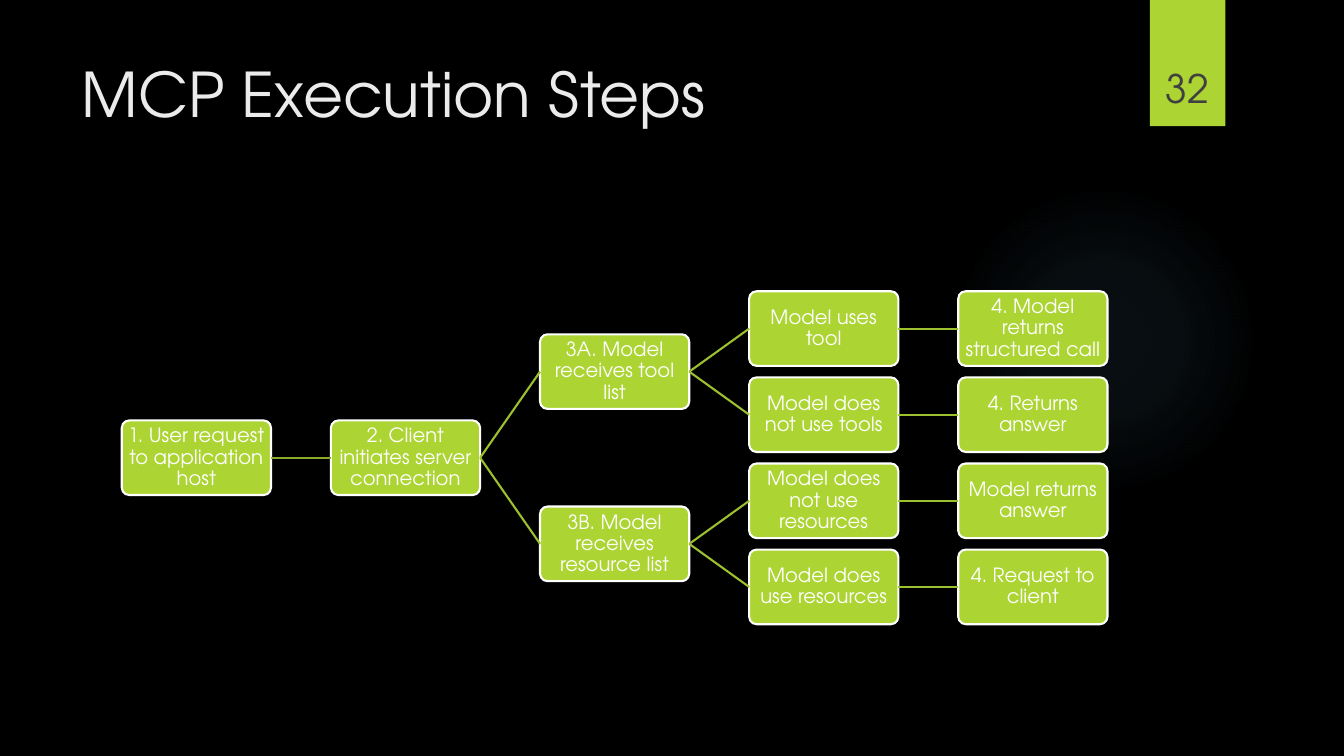
from dataclasses import dataclass
from typing import Optional

from lxml import etree
from pptx import Presentation
from pptx import util as u
from pptx.dml.color import RGBColor
from pptx.enum import shapes, text
from pptx.oxml import ns

FONT = "TeX Gyre Adventor"
COLOURS = {
    "background": "000000",
    "glow": "7AC4F0",
    "lime": "ACD433",
    "first_link": "8AAA29",
    "link": "9CC02E",
    "title": "EBEBEB",
    "number": "404040",
    "white": "FFFFFF",
}

# Step grid, in centimetres
GRID_LEFT, GRID_TOP = 3.07, 7.34
COLUMN_PITCH, ROW_PITCH = 5.27, 2.17
STEP_WIDTH, STEP_HEIGHT = 3.76, 1.88


@dataclass(frozen=True)
class Step:
    label: str
    column: int
    row: float
    parent: Optional[int] = None  # index in STEPS
    link: str = "link"


STEPS = [
    Step("1. User request to application host", 0, 1.5),
    Step("2. Client initiates server connection", 1, 1.5, 0, "first_link"),
    Step("3A. Model receives tool list", 2, 0.5, 1),
    Step("Model uses tool", 3, 0, 2),
    Step("4. Model returns structured call", 4, 0, 3),
    Step("Model does not use tools", 3, 1, 2),
    Step("4. Returns answer", 4, 1, 5),
    Step("3B. Model receives resource list", 2, 2.5, 1),
    Step("Model does not use resources", 3, 2, 7),
    Step("Model returns answer", 4, 2, 8),
    Step("Model does use resources", 3, 3, 7),
    Step("4. Request to client", 4, 3, 10),
]


def colour(name: str) -> RGBColor:
    return RGBColor.from_string(COLOURS[name])


def write(shape, words: str, size: float, ink: str, align, anchor) -> None:
    frame = shape.text_frame
    frame.word_wrap = True
    frame.auto_size = text.MSO_AUTO_SIZE.NONE
    frame.vertical_anchor = anchor
    para = frame.paragraphs[0]
    para.text = words
    para.alignment = align
    para.font.size = u.Pt(size)
    para.font.name = FONT
    para.font.color.rgb = colour(ink)


def add_plain_shape(page, kind, left: float, top: float, width: float, height: float):
    """Add a lime shape without outline or shadow; lengths in centimetres."""
    shape = page.shapes.add_shape(kind, u.Cm(left), u.Cm(top), u.Cm(width), u.Cm(height))
    shape.shadow.inherit = False
    shape.fill.solid()
    shape.fill.fore_color.rgb = colour("lime")
    shape.line.fill.background()
    return shape


def add_glow(page) -> None:
    """Add a faint disc that fades out towards its rim."""
    glow = add_plain_shape(page, shapes.MSO_SHAPE.OVAL, 23.9, 4.65, 7.82, 7.82)
    stops = "".join(
        f'<a:gs pos="{position}000"><a:srgbClr val="{COLOURS["glow"]}">'
        f'<a:alpha val="{alpha}000"/></a:srgbClr></a:gs>'
        for position, alpha in ((0, 7), (36, 6), (69, 0))
    )
    gradient = etree.fromstring(
        f'<a:gradFill {ns.nsdecls("a")}><a:gsLst>{stops}</a:gsLst><a:path path="circle">'
        '<a:fillToRect l="50000" t="50000" r="50000" b="50000"/></a:path></a:gradFill>'
    )
    properties = glow._element.spPr
    properties.replace(properties.find(ns.qn("a:solidFill")), gradient)


def add_title(page) -> None:
    title = page.shapes.title
    title.left, title.top = u.Cm(1.8), u.Cm(1.27)
    title.width, title.height = u.Cm(26.14), u.Cm(3.89)
    write(title, "MCP Execution Steps", 44, "title", text.PP_ALIGN.LEFT, text.MSO_ANCHOR.TOP)


def add_page_number(page) -> None:
    add_plain_shape(page, shapes.MSO_SHAPE.RECTANGLE, 28.98, 0, 1.9, 3.18)
    box = page.shapes.add_textbox(u.Cm(28.75), u.Cm(0.81), u.Cm(2.34), u.Cm(2.13))
    write(box, "32", 28, "number", text.PP_ALIGN.CENTER, text.MSO_ANCHOR.BOTTOM)


def add_step(page, step: Step):
    box = add_plain_shape(
        page,
        shapes.MSO_SHAPE.ROUNDED_RECTANGLE,
        GRID_LEFT + step.column * COLUMN_PITCH,
        GRID_TOP + step.row * ROW_PITCH,
        STEP_WIDTH,
        STEP_HEIGHT,
    )
    box.adjustments[0] = 0.1
    box.line.color.rgb = colour("white")
    box.line.width = u.Pt(1.5)
    write(box, step.label, 14, "white", text.PP_ALIGN.CENTER, text.MSO_ANCHOR.MIDDLE)
    frame = box.text_frame
    frame.margin_left = frame.margin_right = u.Cm(0.03)
    frame.margin_top = frame.margin_bottom = u.Cm(0.03)
    frame.paragraphs[0].line_spacing = 0.9
    return box


def add_link(page, parent, child, ink: str) -> None:
    """Join the right side of the parent to the left side of the child."""
    link = page.shapes.add_connector(shapes.MSO_CONNECTOR.STRAIGHT, 0, 0, 0, 0)
    link.begin_connect(parent, 3)
    link.end_connect(child, 1)
    link.line.color.rgb = colour(ink)
    link.line.width = u.Pt(1.5)
    etree.SubElement(link._element.spPr, ns.qn("a:effectLst"))


def main() -> None:
    deck = Presentation()
    deck.slide_width, deck.slide_height = u.Cm(33.87), u.Cm(19.05)
    page = deck.slides.add_slide(deck.slide_layouts.get_by_name("Title Only"))
    page.background.fill.solid()
    page.background.fill.fore_color.rgb = colour("background")

    add_glow(page)
    add_title(page)
    add_page_number(page)
    boxes = []
    for step in STEPS:
        boxes.append(add_step(page, step))
        if step.parent is not None:
            add_link(page, boxes[step.parent], boxes[-1], step.link)

    deck.save("out.pptx")


if __name__ == "__main__":
    main()
